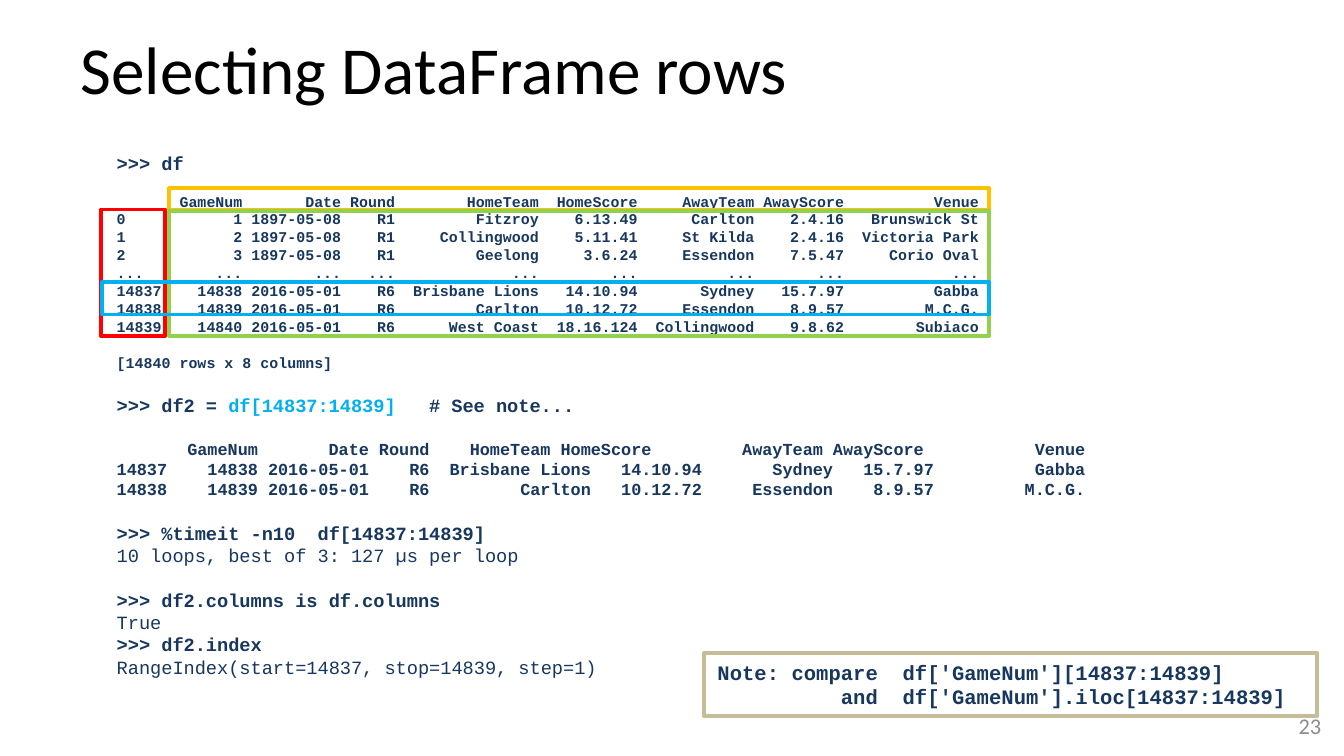
from dataclasses import dataclass

from pptx import Presentation
from pptx import util as u
from pptx.dml import color
from pptx.enum import shapes, text


@dataclass(frozen=True)
class Theme:
    """Colours, fonts and type sizes of the slide."""

    heading_font: str = "Calibri"
    code_font: str = "Courier New"
    black: str = "000000"
    navy: str = "17375E"
    grey: str = "8C8C8C"
    red: str = "FF0000"
    amber: str = "FFC000"
    green: str = "92D050"
    blue: str = "00B0F0"
    tan: str = "C4BD97"
    title: int = 36
    number: int = 12
    note: int = 11
    code: int = 10
    result: int = 9
    table: int = 8
    leading: float = 1.2


class SlideBuilder:
    """Draws styled elements on the current slide."""

    def __init__(self, slide, theme):
        """Keep the slide and its style."""
        self.slide = slide
        self.theme = theme

    def apply(self, target, **values):
        """Set several attributes on one object."""
        for name, value in values.items():
            setattr(target, name, value)

    def place(self, shape, box):
        """Move and size a shape in inches."""
        names = ("left", "top", "width", "height")
        self.apply(shape, **dict(zip(names, map(u.Inches, box))))

    def add_run(self, paragraph, wording, size, font, colour, bold=False):
        """Append a formatted run."""
        run = paragraph.add_run()
        run.text = wording
        self.apply(run.font, size=u.Pt(size), name=font, bold=bold)
        run.font.color.rgb = color.RGBColor.from_string(colour)

    def add_title(self, wording, box):
        """Fill the title placeholder."""
        title = self.slide.shapes.title
        self.place(title, box)
        frame = title.text_frame
        self.apply(frame, word_wrap=True, auto_size=text.MSO_AUTO_SIZE.NONE,
                   vertical_anchor=text.MSO_ANCHOR.TOP)
        paragraph = frame.paragraphs[0]
        paragraph.alignment = text.PP_ALIGN.LEFT
        self.add_run(paragraph, wording, self.theme.title,
                     self.theme.heading_font, self.theme.black)

    def add_text_box(self, box, anchor=text.MSO_ANCHOR.TOP):
        """Add an empty wrapping text box and return its frame."""
        frame = self.slide.shapes.add_textbox(*map(u.Inches, box)).text_frame
        self.apply(frame, word_wrap=True, vertical_anchor=anchor)
        return frame

    def add_code(self, frame, lines):
        """Write code lines given as (runs, size, bold, gap before)."""
        theme = self.theme
        for position, (runs, size, bold, gap) in enumerate(lines):
            paragraph = frame.add_paragraph() if position else frame.paragraphs[0]
            self.apply(paragraph, alignment=text.PP_ALIGN.LEFT,
                       line_spacing=u.Pt(size * theme.leading),
                       space_before=u.Pt(gap * theme.leading))
            for wording, colour in runs:
                self.add_run(paragraph, wording, size, theme.code_font, colour, bold)

    def add_frame(self, box, colour, weight=2):
        """Add an unfilled outlined rectangle."""
        shape = self.slide.shapes.add_shape(
            shapes.MSO_SHAPE.RECTANGLE, *map(u.Inches, box))
        shape.shadow.inherit = False
        shape.fill.background()
        shape.line.color.rgb = color.RGBColor.from_string(colour)
        shape.line.width = u.Pt(weight)
        return shape

    def add_number(self, wording, box):
        """Add the slide number."""
        frame = self.add_text_box(box, text.MSO_ANCHOR.MIDDLE)
        paragraph = frame.paragraphs[0]
        paragraph.alignment = text.PP_ALIGN.RIGHT
        self.add_run(paragraph, wording, self.theme.number,
                     self.theme.heading_font, self.theme.grey)


COLUMNS = ("", "GameNum", "Date", "Round", "HomeTeam", "HomeScore",
           "AwayTeam", "AwayScore", "Venue")
WIDTHS = (5, 9, 11, 6, 16, 11, 13, 10, 15)
RESULT_HEADER_WIDTHS = (5, 9, 11, 6, 12, 10, 17, 10, 16)
GAMES = (
    ("0", "1", "1897-05-08", "R1", "Fitzroy", "6.13.49", "Carlton", "2.4.16", "Brunswick St"),
    ("1", "2", "1897-05-08", "R1", "Collingwood", "5.11.41", "St Kilda", "2.4.16", "Victoria Park"),
    ("2", "3", "1897-05-08", "R1", "Geelong", "3.6.24", "Essendon", "7.5.47", "Corio Oval"),
    ("...",) * len(COLUMNS),
    ("14837", "14838", "2016-05-01", "R6", "Brisbane Lions", "14.10.94", "Sydney", "15.7.97", "Gabba"),
    ("14838", "14839", "2016-05-01", "R6", "Carlton", "10.12.72", "Essendon", "8.9.57", "M.C.G."),
    ("14839", "14840", "2016-05-01", "R6", "West Coast", "18.16.124", "Collingwood", "9.8.62", "Subiaco"),
)


def format_row(values, widths=WIDTHS):
    """Align the index left and the other values right."""
    cells = (value.rjust(width) for value, width in zip(values[1:], widths[1:]))
    return values[0].ljust(widths[0]) + "".join(cells)


def console_lines(theme):
    """Return the console session line by line."""
    def line(wording, size=theme.code, bold=True, gap=0):
        return [(wording, theme.navy)], size, bold, gap

    assignment = [(">>> df2 = ", theme.navy),
                  ("df[14837:14839]".ljust(18), theme.blue),
                  ("# See note...", theme.navy)]
    return [
        line(">>> df"),
        line(format_row(COLUMNS), theme.table, gap=theme.table),
        *(line(format_row(game), theme.table) for game in GAMES),
        line("[14840 rows x 8 columns]", theme.table, gap=theme.table),
        (assignment, theme.code, True, theme.code),
        line(format_row(COLUMNS, RESULT_HEADER_WIDTHS), theme.result, gap=theme.code),
        *(line(format_row(game), theme.result) for game in GAMES[4:6]),
        line(">>> %timeit -n10  df[14837:14839]", gap=theme.code),
        line("10 loops, best of 3: 127 µs per loop", bold=False),
        line(">>> df2.columns is df.columns", gap=theme.code),
        line("True", bold=False),
        line(">>> df2.index"),
        line("RangeIndex(start=14837, stop=14839, step=1)", bold=False),
    ]


def main():
    """Build and save the slide."""
    theme = Theme()
    presentation = Presentation()
    presentation.slide_width = u.Inches(10)
    presentation.slide_height = presentation.slide_width * 9 // 16
    slide = presentation.slides.add_slide(presentation.slide_layouts[5])
    builder = SlideBuilder(slide, theme)

    builder.add_title("Selecting DataFrame rows", (0.5, 0.15, 9, 0.65))
    builder.add_code(builder.add_text_box((0.77, 1.08, 8.72, 4.11)), console_lines(theme))

    highlights = {
        theme.red: (0.75, 1.56, 0.48, 0.94),
        theme.amber: (1.26, 1.4, 6.1, 0.16),
        theme.green: (1.26, 1.57, 6.1, 0.93),
        theme.blue: (0.76, 2.1, 6.6, 0.24),
    }
    for colour, box in highlights.items():
        builder.add_frame(box, colour)

    note = builder.add_frame((5.24, 4.86, 4.56, 0.47), theme.tan, 2.25).text_frame
    builder.apply(note, word_wrap=True, vertical_anchor=text.MSO_ANCHOR.TOP)
    comparisons = (("Note: compare", "df['GameNum'][14837:14839]"),
                   ("and", "df['GameNum'].iloc[14837:14839]"))
    builder.add_code(note, [
        ([(f"{label:>13}  {code}", theme.navy)], theme.note, True, 0)
        for label, code in comparisons])
    builder.add_number("23", (7.6, 5.25, 2.33, 0.3))
    presentation.save("out.pptx")


if __name__ == "__main__":
    main()
